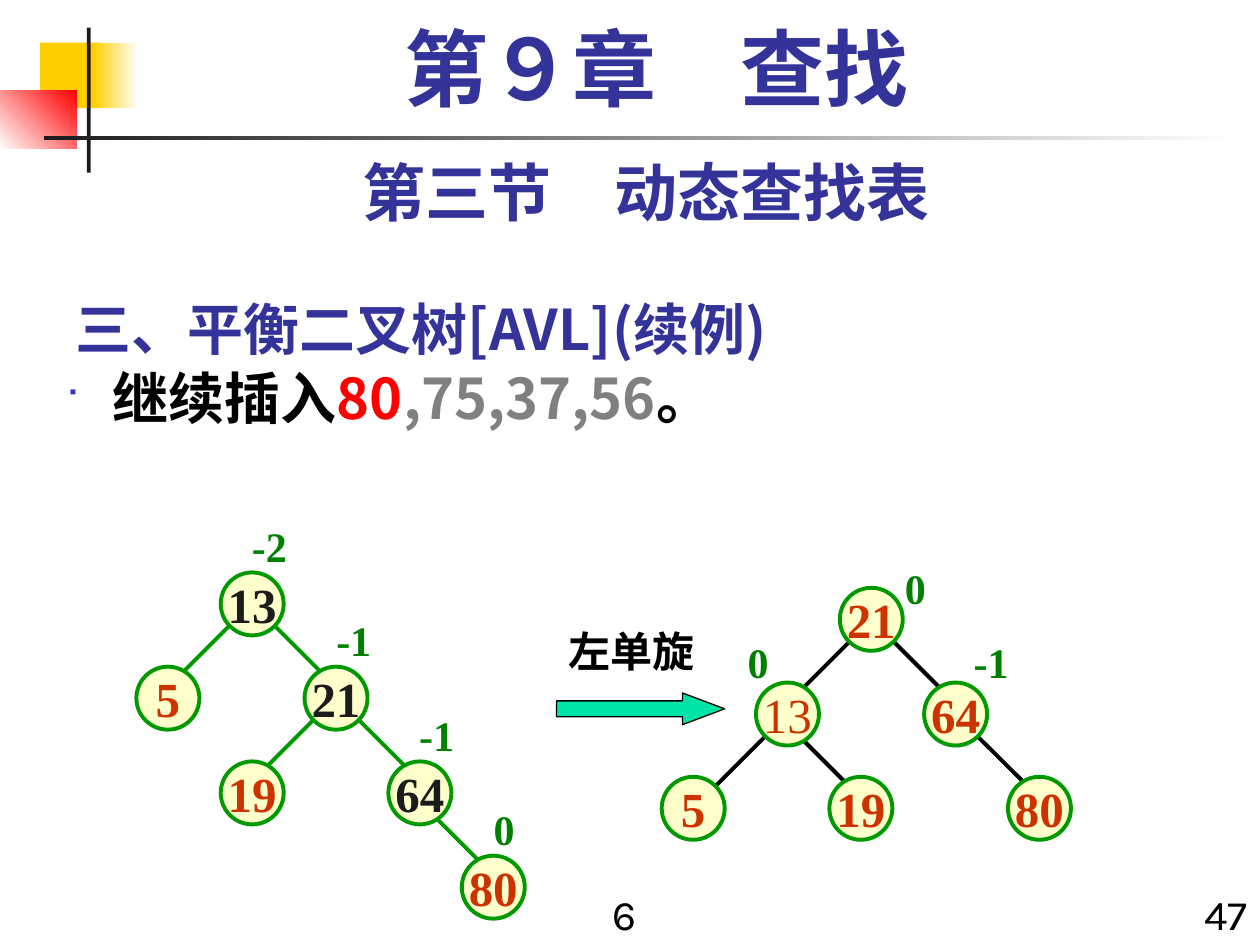
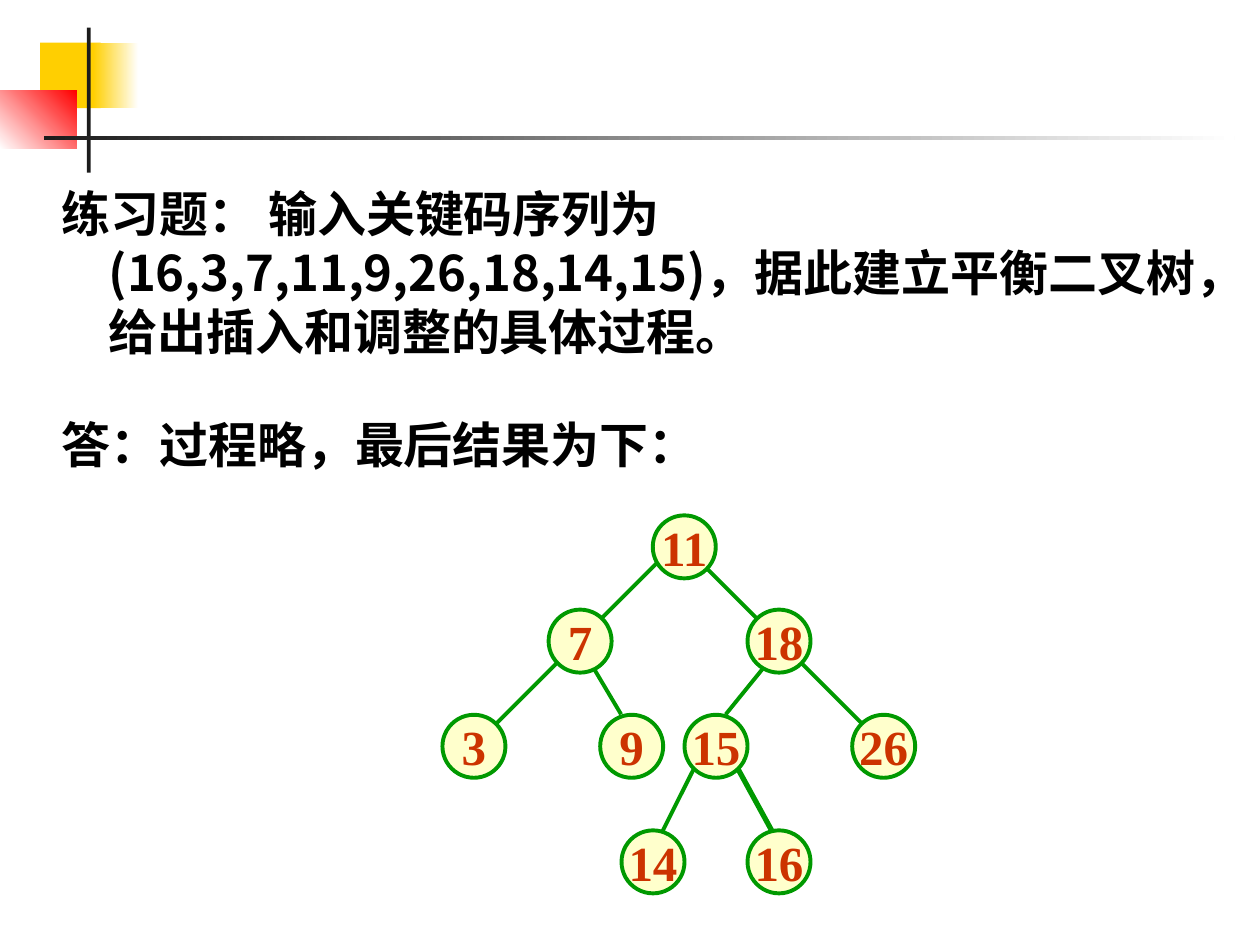
from dataclasses import dataclass
from typing import NamedTuple

from lxml import etree
from pptx import Presentation
from pptx.dml.color import RGBColor
from pptx.enum.shapes import MSO_CONNECTOR, MSO_SHAPE
from pptx.enum.text import MSO_ANCHOR, MSO_AUTO_SIZE, PP_ALIGN
from pptx.oxml.ns import qn
from pptx.util import Cm, Pt

RECTANGLE = MSO_SHAPE.RECTANGLE
ELLIPSE = MSO_SHAPE.OVAL
RIGHT_ARROW = MSO_SHAPE.RIGHT_ARROW
STRAIGHT = MSO_CONNECTOR.STRAIGHT
LEFT, CENTER, RIGHT = PP_ALIGN.LEFT, PP_ALIGN.CENTER, PP_ALIGN.RIGHT
TOP, MIDDLE, BOTTOM = MSO_ANCHOR.TOP, MSO_ANCHOR.MIDDLE, MSO_ANCHOR.BOTTOM


@dataclass(frozen=True)
class Theme:
    black: str = "000000"
    ink: str = "1C1C1C"
    white: str = "FFFFFF"
    heading: str = "333399"
    bullet: str = "3333CC"
    yellow: str = "FFCF01"
    red: str = "FF0000"
    gray: str = "808080"
    node_fill: str = "FFFFCC"
    node_line: str = "009900"
    key: str = "CC3300"
    balance: str = "008000"
    arrow: str = "00E4A8"
    cjk: str = "Noto Sans CJK SC"
    serif: str = "Times New Roman"
    sans: str = "Karla"
    chapter_size: int = 48
    section_size: int = 36
    body_size: int = 32
    key_size: int = 28
    label_size: int = 24
    line_width: float = 2.25


THEME = Theme()
NODE_SIZE = 1.27
LABEL_HEIGHT = 1.27
HANGING_INDENT = 0.95


class Box(NamedTuple):
    """Left, top, width and height in centimetres."""
    left: float
    top: float
    width: float
    height: float

    def lengths(self) -> list:
        return [Cm(value) for value in self]


class Band(NamedTuple):
    box: Box
    start: str
    end: str | None = None
    angle: int = 0


class Node(NamedTuple):
    key: str
    left: float
    top: float
    color: str = THEME.key
    bold: bool = True


class Edge(NamedTuple):
    x1: float
    y1: float
    x2: float
    y2: float
    width: float = THEME.line_width


class Balance(NamedTuple):
    """Balance factor written beside a node."""
    factor: str
    left: float
    top: float


@dataclass(frozen=True)
class Tree:
    nodes: list[Node]
    edges: list[Edge]
    balances: list[Balance]
    edge_color: str = THEME.node_line


BANDS = [
    Band(Box(0.81, 0.86, 1.22, 1.32), THEME.yellow),
    Band(Box(1.88, 0.86, 0.91, 1.32), THEME.yellow, THEME.white),
    Band(Box(0, 1.83, 1.55, 1.17), THEME.white, THEME.red, 45),
    Band(Box(1.75, 0.56, 0.08, 2.92), THEME.ink),
    Band(Box(0.89, 2.74, 24, 0.08), THEME.ink, THEME.white),
]

BEFORE_ROTATION = Tree(
    nodes=[
        Node("13", 4.45, 11.54, THEME.ink),
        Node("5", 2.75, 13.44),
        Node("21", 6.14, 13.44, THEME.ink),
        Node("19", 4.45, 15.35),
        Node("64", 7.83, 15.35, THEME.ink),
        Node("80", 9.31, 17.25),
    ],
    edges=[
        Edge(4.66, 12.58, 3.6, 13.64),
        Edge(5.5, 12.58, 6.56, 13.64),
        Edge(6.35, 14.48, 5.08, 15.75),
        Edge(7.2, 14.48, 8.26, 15.54),
        Edge(8.68, 16.38, 9.95, 17.65),
    ],
    balances=[
        Balance("-2", 4.83, 10.36),
        Balance("-1", 6.53, 12.27),
        Balance("-1", 8.2, 14.17),
        Balance("0", 9.7, 16.08),
    ],
)

AFTER_ROTATION = Tree(
    nodes=[
        Node("21", 16.93, 11.85),
        Node("13", 15.24, 13.76, bold=False),
        Node("64", 18.63, 13.76),
        Node("5", 13.34, 15.66),
        Node("19", 16.72, 15.66),
        Node("80", 20.32, 15.66),
    ],
    edges=[
        Edge(17.15, 12.91, 16.09, 13.97),
        Edge(17.78, 12.7, 19.05, 13.97),
        Edge(15.45, 14.82, 14.39, 15.88),
        Edge(16.09, 14.82, 17.36, 16.09),
        Edge(19.47, 14.61, 20.75, 15.88),
    ],
    balances=[
        Balance("0", 17.99, 11.22),
        Balance("0", 14.82, 12.7),
        Balance("-1", 19.38, 12.7),
    ],
    edge_color=THEME.black,
)

EXERCISE_RESULT = Tree(
    nodes=[
        Node("11", 13.16, 10.39),
        Node("7", 11.06, 12.29),
        Node("18", 15.07, 12.29),
        Node("3", 8.92, 14.41),
        Node("9", 12.1, 14.41),
        Node("15", 13.8, 14.41),
        Node("26", 17.18, 14.41),
        Node("14", 12.53, 16.74),
        Node("16", 15.07, 16.74),
    ],
    edges=[
        Edge(13.36, 11.23, 11.89, 12.7),
        Edge(14.22, 11.43, 15.49, 12.7),
        Edge(11.25, 13.34, 9.98, 14.61),
        Edge(11.89, 13.34, 12.52, 14.4),
        Edge(15.49, 13.34, 14.63, 14.4),
        Edge(16.13, 13.34, 18.03, 15.24),
        Edge(14, 15.47, 13.16, 17.15),
        Edge(14.86, 15.47, 15.9, 17.37, 3),
    ],
    balances=[],
)


def rgb(color: str) -> RGBColor:
    return RGBColor.from_string(color)


def add_bullet(properties) -> None:
    color = etree.SubElement(properties, qn("a:buClr"))
    etree.SubElement(color, qn("a:srgbClr"), val=THEME.bullet)
    etree.SubElement(properties, qn("a:buSzPct"), val="60000")
    etree.SubElement(properties, qn("a:buFont"), typeface="Wingdings")
    etree.SubElement(properties, qn("a:buChar"), char="■")


def write_text(shape, text, *, size: int, font: str, color: str = THEME.black,
               bold: bool = True, align=LEFT, anchor=TOP, wrap: bool = True,
               grow: bool = False, hanging: bool = False, bullet: bool = False,
               line_spacing: float | None = None) -> None:
    """Write a string, or a list of (string, colour) pairs, as one paragraph."""
    frame = shape.text_frame
    frame.word_wrap = wrap
    frame.vertical_anchor = anchor
    frame.auto_size = MSO_AUTO_SIZE.SHAPE_TO_FIT_TEXT if grow else MSO_AUTO_SIZE.NONE
    paragraph = frame.paragraphs[0]
    paragraph.alignment = align
    if line_spacing:
        paragraph.line_spacing = line_spacing
    properties = paragraph._p.get_or_add_pPr()
    if hanging:
        properties.set("marL", str(Cm(HANGING_INDENT)))
        properties.set("indent", str(-Cm(HANGING_INDENT)))
    if bullet:
        add_bullet(properties)
    pieces = [(text, color)] if isinstance(text, str) else text
    for piece, piece_color in pieces:
        run = paragraph.add_run()
        run.text = piece
        run.font.size = Pt(size)
        run.font.name = font
        run.font.bold = bold
        run.font.color.rgb = rgb(piece_color)
        etree.SubElement(run._r.get_or_add_rPr(), qn("a:ea"), typeface=THEME.cjk)


def add_text(slide, box: Box, text, **text_format) -> None:
    write_text(slide.shapes.add_textbox(*box.lengths()), text, **text_format)


def add_plain_shape(slide, kind, box: Box, fill: str, line: str | None = None,
                    line_width: float = THEME.line_width):
    shape = slide.shapes.add_shape(kind, *box.lengths())
    shape.shadow.inherit = False
    shape.fill.solid()
    shape.fill.fore_color.rgb = rgb(fill)
    if line:
        shape.line.color.rgb = rgb(line)
        shape.line.width = Pt(line_width)
    else:
        shape.line.fill.background()
    return shape


def add_band(slide, band: Band) -> None:
    shape = add_plain_shape(slide, RECTANGLE, band.box, band.start)
    if band.end:
        shape.fill.gradient()
        shape.fill.gradient_angle = band.angle
        for stop, color in zip(shape.fill.gradient_stops, (band.start, band.end)):
            stop.color.rgb = rgb(color)


def add_edge(slide, edge: Edge, color: str) -> None:
    ends = [Cm(value) for value in edge[:4]]
    connector = slide.shapes.add_connector(STRAIGHT, *ends)
    connector.line.color.rgb = rgb(color)
    connector.line.width = Pt(edge.width)
    etree.SubElement(connector._element.spPr, qn("a:effectLst"))


def add_tree(slide, tree: Tree) -> None:
    for edge in tree.edges:
        add_edge(slide, edge, tree.edge_color)
    for node in tree.nodes:
        circle = add_plain_shape(slide, ELLIPSE, Box(node.left, node.top, NODE_SIZE, NODE_SIZE),
                                 THEME.node_fill, THEME.node_line)
        write_text(circle, node.key, size=THEME.key_size, font=THEME.serif, color=node.color,
                   bold=node.bold, align=CENTER, anchor=MIDDLE, wrap=False)
    for balance in tree.balances:
        width = 0.94 if len(balance.factor) == 1 else 1.22
        add_text(slide, Box(balance.left, balance.top, width, LABEL_HEIGHT), balance.factor,
                 size=THEME.label_size, font=THEME.serif, color=THEME.balance,
                 wrap=False, grow=True)


def add_base_slide(presentation):
    slide = presentation.slides.add_slide(presentation.slide_layouts[6])
    for band in BANDS:
        add_band(slide, band)
    return slide


def build_rotation_slide(presentation) -> None:
    slide = add_base_slide(presentation)
    add_text(slide, Box(1.27, 5.51, 19.69, 1.91), "三、平衡二叉树[AVL](续例)",
             size=THEME.body_size, font=THEME.cjk, color=THEME.heading, anchor=BOTTOM)
    add_text(slide, Box(1.27, 2.97, 23.5, 1.78), "第三节　动态查找表", size=THEME.section_size,
             font=THEME.sans, color=THEME.heading, align=CENTER, grow=True)
    insertion = [("继续插入", THEME.black), ("80", THEME.red),
                 (",75,37,56", THEME.gray), ("。", THEME.black)]
    add_text(slide, Box(1.07, 7.2, 24.33, 11.85), insertion, size=THEME.body_size,
             font=THEME.cjk, hanging=True, bullet=True)
    add_text(slide, Box(1.7, 0.43, 23.06, 2.12), "第９章　查找", size=THEME.chapter_size,
             font=THEME.serif, color=THEME.heading, align=CENTER, hanging=True, line_spacing=0.9)
    for number, left, width, align in (("47", 23.7, 1.7, RIGHT), ("6", 11.85, 1.48, CENTER)):
        add_text(slide, Box(left, 17.78, width, LABEL_HEIGHT), number, size=THEME.label_size,
                 font=THEME.sans, bold=False, align=align, grow=True)
    add_tree(slide, BEFORE_ROTATION)
    add_tree(slide, AFTER_ROTATION)
    arrow = add_plain_shape(slide, RIGHT_ARROW, Box(11.22, 13.97, 3.39, 0.64),
                            THEME.arrow, THEME.black, 0.75)
    arrow.adjustments[0] = 0.5
    arrow.adjustments[1] = 1.33
    add_text(slide, Box(11.22, 12.49, 3.07, LABEL_HEIGHT), "左单旋", size=THEME.label_size,
             font=THEME.serif, wrap=False, grow=True)


def build_exercise_slide(presentation) -> None:
    slide = add_base_slide(presentation)
    question = ("练习题： 输入关键码序列为(16,3,7,11,9,26,18,14,15)，"
                "据此建立平衡二叉树，给出插入和调整的具体过程。")
    add_text(slide, Box(0.99, 3.58, 23.6, 3.96), question, size=THEME.key_size,
             font=THEME.cjk, hanging=True)
    add_text(slide, Box(0.99, 8.23, 13.49, 1.45), "答：过程略，最后结果为下：",
             size=THEME.key_size, font=THEME.cjk, wrap=False, grow=True)
    add_tree(slide, EXERCISE_RESULT)


def main() -> None:
    presentation = Presentation()
    presentation.slide_width = Cm(25.4)
    presentation.slide_height = Cm(19.05)
    build_rotation_slide(presentation)
    build_exercise_slide(presentation)
    presentation.save("out.pptx")


if __name__ == "__main__":
    main()
